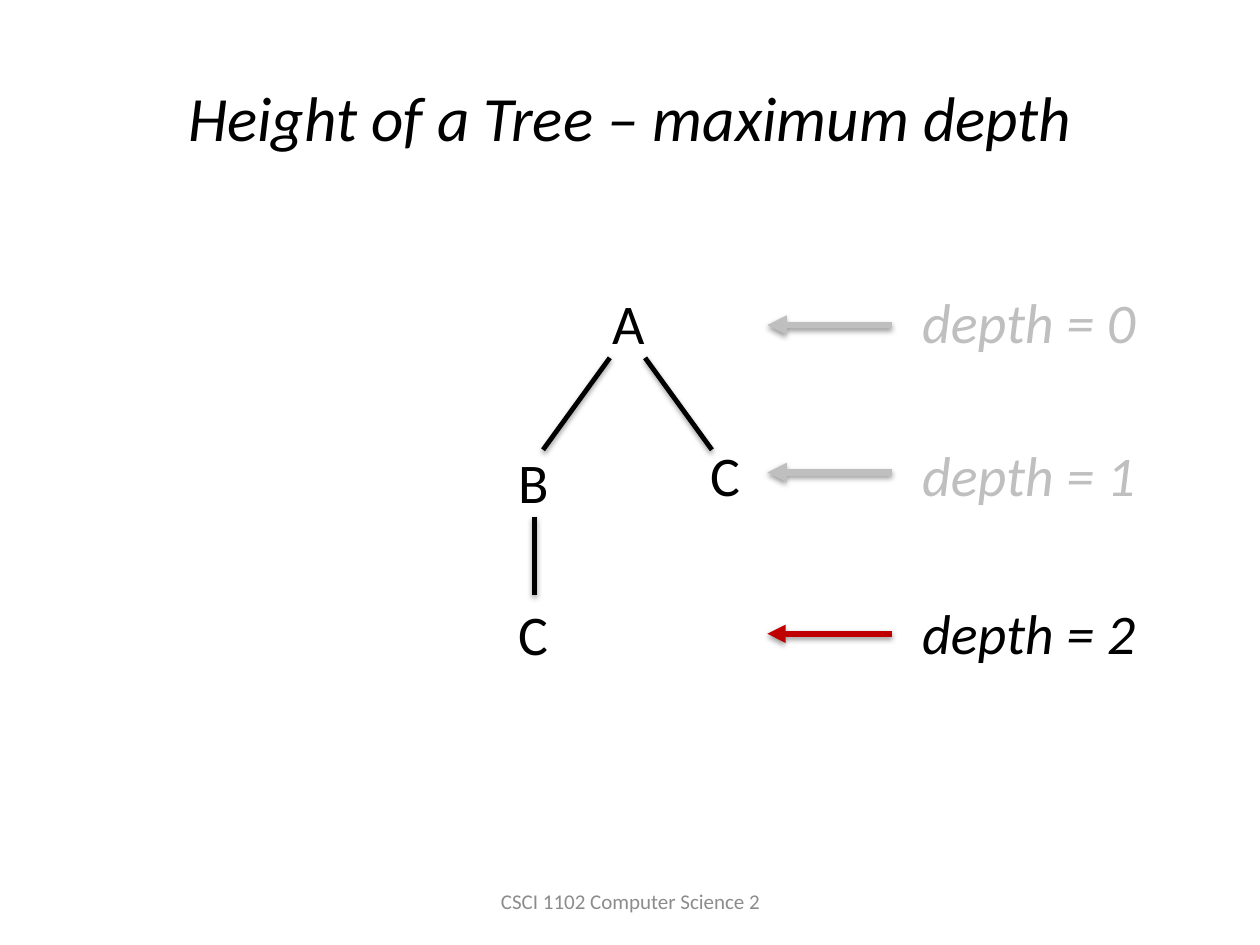
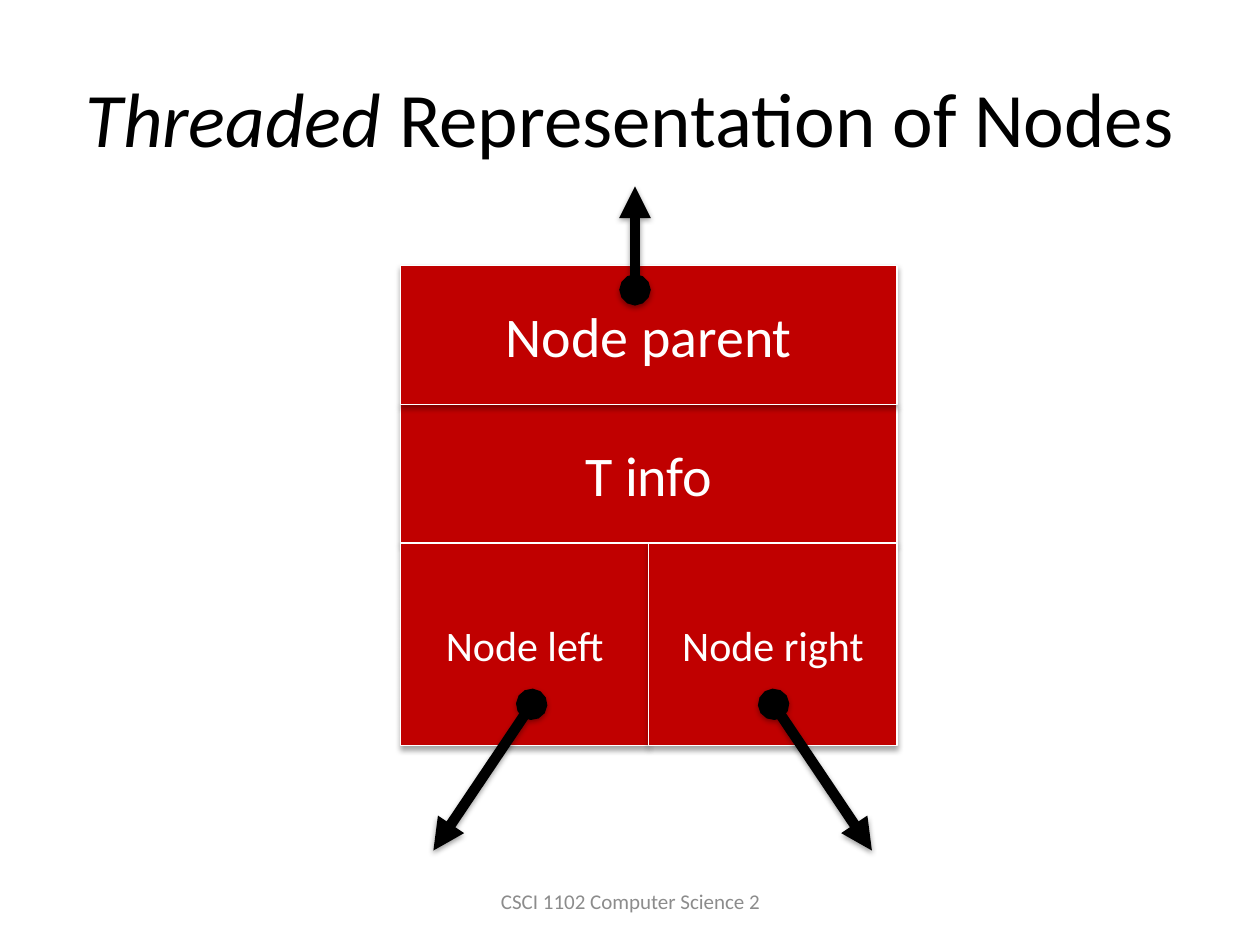
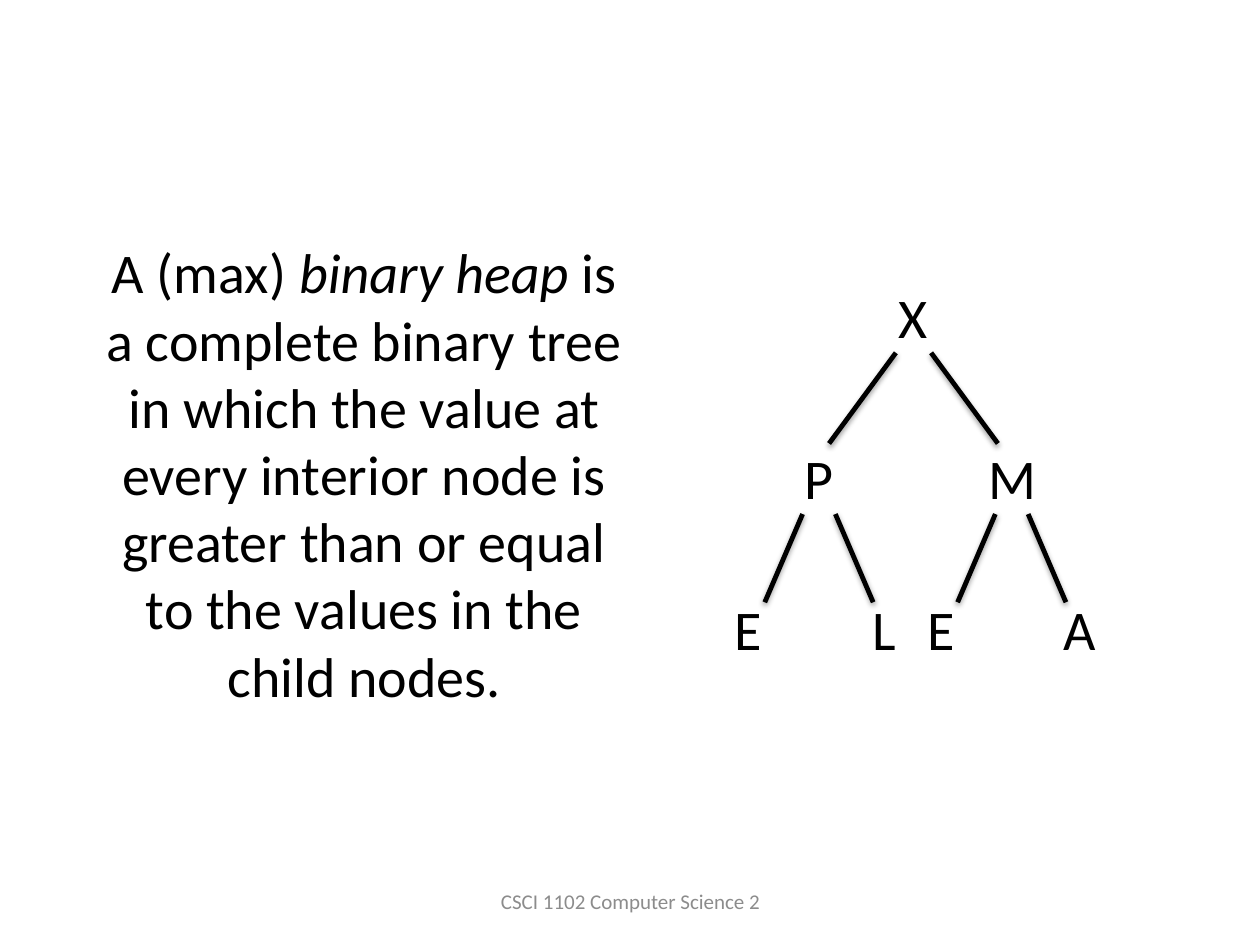
from pptx import Presentation
from pptx.dml.color import RGBColor
from pptx.enum.shapes import MSO_CONNECTOR, MSO_SHAPE
from pptx.enum.text import MSO_ANCHOR, PP_ALIGN
from pptx.oxml.ns import qn
from pptx.util import Inches, Pt
from lxml.etree import SubElement

FONT = "Calibri"
BLACK, WHITE, RED = "000000", "FFFFFF", "C00000"
PALE, FOOTER_GREY = "BFBFBF", "8C8C8C"
FOOTER = "CSCI 1102 Computer Science 2"
TITLE_BOX = (0.5, 0.3, 9, 1.25)
ROW_H = 0.64
LETTER_W = {"A": 0.46, "B": 0.45, "C": 0.44, "E": 0.42,
            "L": 0.39, "M": 0.59, "P": 0.43, "X": 0.44}


def write(sp, runs, size, color, align=PP_ALIGN.CENTER, anchor=MSO_ANCHOR.MIDDLE, wrap=True):
    """Fill a shape with one paragraph of (text, italic) runs."""
    tf = sp.text_frame
    tf.word_wrap = wrap
    tf.vertical_anchor = anchor
    p = tf.paragraphs[0]
    p.alignment = align
    for text, italic in runs:
        r = p.add_run()
        r.text = text
        r.font.name, r.font.size, r.font.italic = FONT, Pt(size), italic
        r.font.color.rgb = RGBColor.from_string(color)


def add_line(slide, x1, y1, x2, y2, width=2.75, color=BLACK, **ends):
    """Draw a line with the theme's soft shadow; ends maps headEnd/tailEnd to a type."""
    line = slide.shapes.add_connector(
        MSO_CONNECTOR.STRAIGHT, Inches(x1), Inches(y1), Inches(x2), Inches(y2))
    line.line.width = Pt(width)
    line.line.color.rgb = RGBColor.from_string(color)
    ln = line.line._get_or_add_ln()
    for end, kind in ends.items():
        SubElement(ln, qn(f"a:{end}"), type=kind)


prs = Presentation()
prs.slide_width, prs.slide_height = Inches(10), Inches(7.5)

# Titles and footers
titles = [
    (TITLE_BOX, 36, [("Height of a Tree – maximum depth", True)]),
    (TITLE_BOX, 44, [("Threaded", True), (" Representation of Nodes", False)]),
    ((0.64, 0.92, 4.5, 5.67), 32, [
        ("A (max) ", False), ("binary heap", True),
        (" is a complete binary tree in which the value at every interior node is "
         "greater than or equal to the values in the child nodes.", False)]),
]
for box, size, runs in titles:
    slide = prs.slides.add_slide(prs.slide_layouts[5])
    title = slide.shapes.title
    title.left, title.top, title.width, title.height = map(Inches, box)
    write(title, runs, size, BLACK)
    footer = slide.shapes.add_textbox(*map(Inches, (3.42, 6.95, 3.17, 0.4)))
    write(footer, [(FOOTER, False)], 12, FOOTER_GREY)

height_slide, node_slide, heap_slide = prs.slides

# Trees: nodes are (letter, centre, top);
# forks are (centre, top, bottom, half width at top, half width at bottom)
trees = [
    (height_slide,
     [("A", 4.99, 2.24), ("B", 4.24, 3.5), ("C", 5.76, 3.45), ("C", 4.24, 4.71)],
     [(4.98, 2.84, 3.57, 0.14, 0.67)]),
    (heap_slide,
     [("X", 7.25, 2.19), ("P", 6.5, 3.47), ("M", 8.04, 3.47),
      ("E", 5.94, 4.67), ("L", 7.02, 4.67), ("E", 7.47, 4.67), ("A", 8.57, 4.67)],
     [(7.25, 2.8, 3.52, 0.14, 0.67),
      (6.5, 4.08, 4.78, 0.13, 0.43), (8.03, 4.08, 4.78, 0.13, 0.43)]),
]
for slide, nodes, forks in trees:
    for letter, cx, top in nodes:
        w = LETTER_W[letter]
        label = slide.shapes.add_textbox(
            Inches(cx - w / 2), Inches(top), Inches(w), Inches(ROW_H))
        write(label, [(letter, False)], 32, BLACK, PP_ALIGN.LEFT, MSO_ANCHOR.TOP, wrap=False)
    for cx, top, bottom, near, far in forks:
        for side in (-1, 1):
            add_line(slide, cx + side * near, top, cx + side * far, bottom)
add_line(height_slide, 4.24, 4.1, 4.24, 4.72)

# Depth labels with their arrows
depths = [(2.23, 2.58, PALE, PALE, 3.75),
          (3.45, 3.75, PALE, PALE, 3.75),
          (4.7, 5.03, BLACK, RED, 3.5)]
for depth, (top, arrow_y, text_color, arrow_color, width) in enumerate(depths):
    label = height_slide.shapes.add_textbox(
        Inches(7.22), Inches(top), Inches(2.45), Inches(ROW_H))
    write(label, [(f"depth = {depth}", True)], 32, text_color, PP_ALIGN.LEFT, MSO_ANCHOR.TOP)
    add_line(height_slide, 7.08, arrow_y, 6.09, arrow_y, width, arrow_color, tailEnd="triangle")

# Node record: two full-width fields above two half-width ones
left, top, half_w, field_h, link_h = 3.18, 2.11, 1.97, 1.1, 1.61
link_top = top + 2 * field_h
fields = [
    ("T info", left, top + field_h, 2 * half_w, field_h, 32),
    ("Node left", left, link_top, half_w, link_h, 24),
    ("Node right", left + half_w, link_top, half_w, link_h, 24),
    ("Node parent", left, top, 2 * half_w, field_h, 32),
]
for name, *box, size in fields:
    sp = node_slide.shapes.add_shape(MSO_SHAPE.RECTANGLE, *map(Inches, box))
    sp.fill.solid()
    sp.fill.fore_color.rgb = RGBColor.from_string(RED)
    sp.line.color.rgb = RGBColor.from_string(WHITE)
    sp.line.width = Pt(0.75)
    write(sp, [(name, False)], size, WHITE)

for pointer in [(4.22, 5.59, 3.44, 6.75), (6.14, 5.59, 6.92, 6.75), (5.04, 2.3, 5.04, 1.48)]:
    add_line(node_slide, *pointer, width=6, headEnd="oval", tailEnd="triangle")

prs.save("out.pptx")
